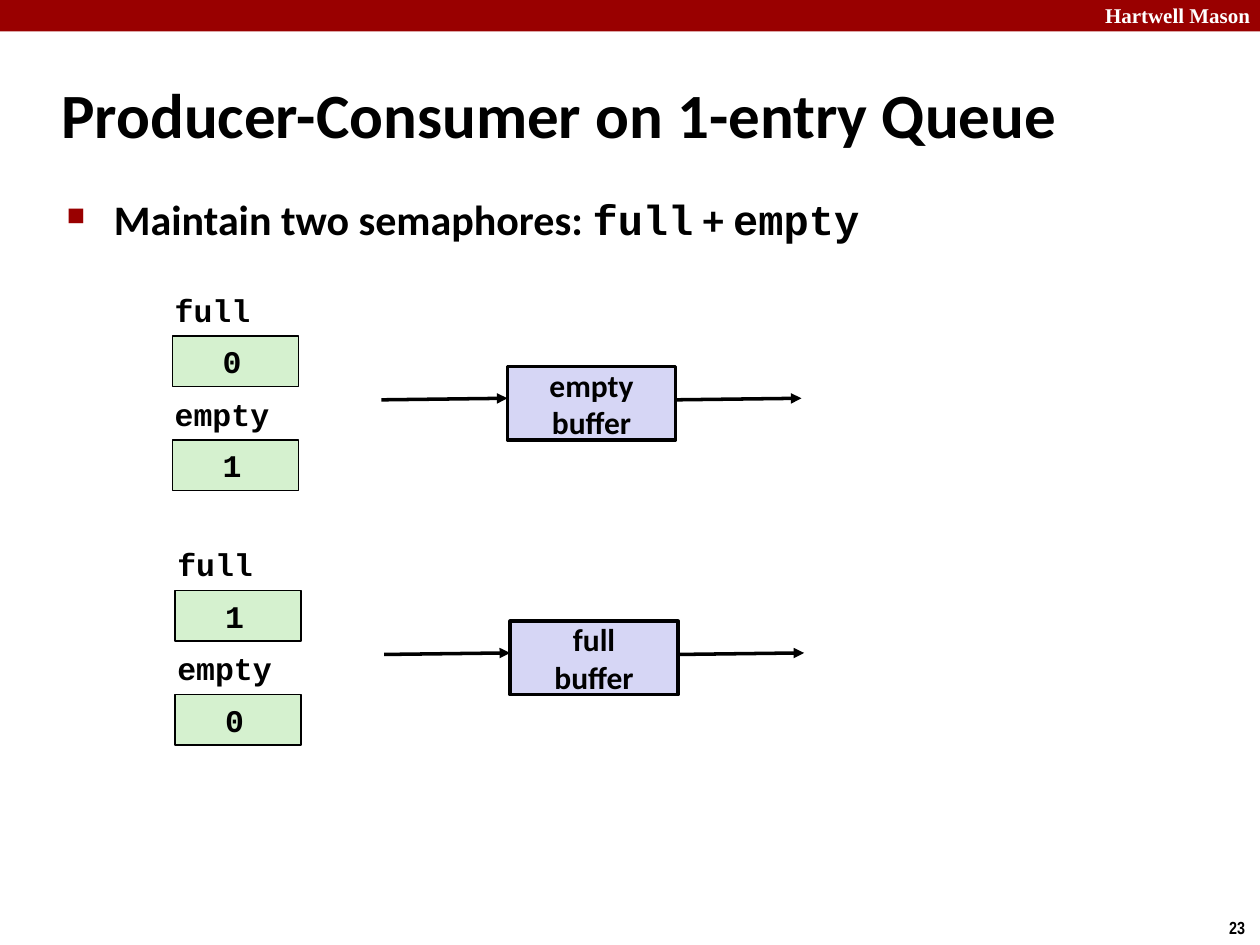
from pptx import Presentation
from pptx.dml.color import RGBColor
from pptx.enum.shapes import MSO_CONNECTOR, MSO_SHAPE
from pptx.enum.text import MSO_ANCHOR, PP_ALIGN
from pptx.oxml.ns import qn
from pptx.util import Pt
from lxml.etree import SubElement

HUE = {"red": "990000", "black": "000000", "white": "FFFFFF",
       "green": "D5F1CF", "blue": "D6D6F5"}
SANS, MONO, SERIF, SLIM = "Calibri", "Courier New", "Times New Roman", "Arial Narrow"


def rgb(name):
    return RGBColor.from_string(HUE[name])


def write(para, runs, size, hue="black"):
    """Add (text, font) runs to a paragraph."""
    for text, font in runs:
        run = para.add_run()
        run.text = text
        run.font.name = font
        run.font.size = Pt(size)
        run.font.bold = True
        run.font.color.rgb = rgb(hue)


def label(slide, place, runs, size, hue="black", wrap=True, anchor=MSO_ANCHOR.TOP):
    box = slide.shapes.add_textbox(*map(Pt, place))
    frame = box.text_frame
    frame.word_wrap = wrap
    frame.vertical_anchor = anchor
    write(frame.paragraphs[0], runs, size, hue)
    return frame.paragraphs[0]


def block(slide, place, fill, width=None):
    """Draw a filled rectangle, outlined if a line width is given."""
    shape = slide.shapes.add_shape(MSO_SHAPE.RECTANGLE, *map(Pt, place))
    shape.shadow.inherit = False
    shape.fill.solid()
    shape.fill.fore_color.rgb = rgb(fill)
    if width:
        shape.line.color.rgb = rgb("black")
        shape.line.width = Pt(width)
    else:
        shape.line.fill.background()
    return shape


def indent(para, left, first):
    props = para._p.get_or_add_pPr()
    props.set("marL", str(Pt(left)))
    props.set("indent", str(Pt(first)))
    return props


def bullet(para):
    para.space_before = Pt(4.8)
    props = indent(para, 27, -27)
    tint = SubElement(props, qn("a:buClr"))
    SubElement(tint, qn("a:srgbClr"), val=HUE["red"])
    SubElement(props, qn("a:buSzPct"), val="60000")
    SubElement(props, qn("a:buChar"), char="■")


def arrow(slide, left, top):
    line = slide.shapes.add_connector(
        MSO_CONNECTOR.STRAIGHT, Pt(left), Pt(top), Pt(left + 72), Pt(top - 0.9))
    line.line.color.rgb = rgb("black")
    line.line.width = Pt(2)
    SubElement(line.line._get_or_add_ln(), qn("a:tailEnd"), type="triangle")
    SubElement(line._element.spPr, qn("a:effectLst"))


def count(slide, left, top, name, value):
    """Draw a semaphore: its name above a box with its value."""
    shape = block(slide, (left, top, 72, 28.8), "green", 0.75)
    shape.text_frame.vertical_anchor = MSO_ANCHOR.TOP
    para = shape.text_frame.paragraphs[0]
    para.alignment = PP_ALIGN.LEFT
    indent(para, 21.6, 0)
    write(para, [(value, MONO)], 18)
    label(slide, (left - 5.76, top - 29.5, 69, 28.8), [(name, MONO)], 18, wrap=False)


def buffer(slide, left, top, state):
    shape = block(slide, (left, top, 96, 42), "blue", 2)
    frame = shape.text_frame
    frame.word_wrap = False
    frame.vertical_anchor = MSO_ANCHOR.MIDDLE
    frame.margin_top = frame.margin_bottom = 0
    for row, text in enumerate((state, "buffer")):
        para = frame.add_paragraph() if row else frame.paragraphs[0]
        para.alignment = PP_ALIGN.CENTER
        write(para, [(text, SANS)], 18)
    # Arrows into and out of the buffer
    for start in (left - 72, left + 96):
        arrow(slide, start, top + 19)


def scene(slide, left, top, state, full, empty):
    count(slide, left, top, "full", full)
    count(slide, left, top + 59.5, "empty", empty)
    buffer(slide, left + 191.5, top + 17.5, state)


def main():
    deck = Presentation()
    deck.slide_width, deck.slide_height = Pt(720), Pt(540)
    slide = deck.slides.add_slide(deck.slide_layouts[6])

    # Banner and page number
    block(slide, (0, 0, 720, 18), "red")
    para = label(slide, (612, -2.2, 109.5, 21.6), [("Hartwell Mason", SERIF)], 12, "white")
    para.alignment = PP_ALIGN.RIGHT
    label(slide, (695.3, 520.5, 24.5, 19.5), [("23", SLIM)], 10, wrap=False)

    # Title and main point
    label(slide, (28, 34.5, 632, 60), [("Producer-Consumer on 1-entry Queue", SANS)],
          36, anchor=MSO_ANCHOR.MIDDLE)
    point = [("Maintain two semaphores: ", SANS), ("full", MONO),
             (" + ", SANS), ("empty", MONO)]
    bullet(label(slide, (31, 107.3, 622, 391.7), point, 24))

    # Both states of the queue
    scene(slide, 98.5, 192, "empty", "0", "1")
    scene(slide, 100, 337.5, "full", "1", "0")

    deck.save("out.pptx")


main()
